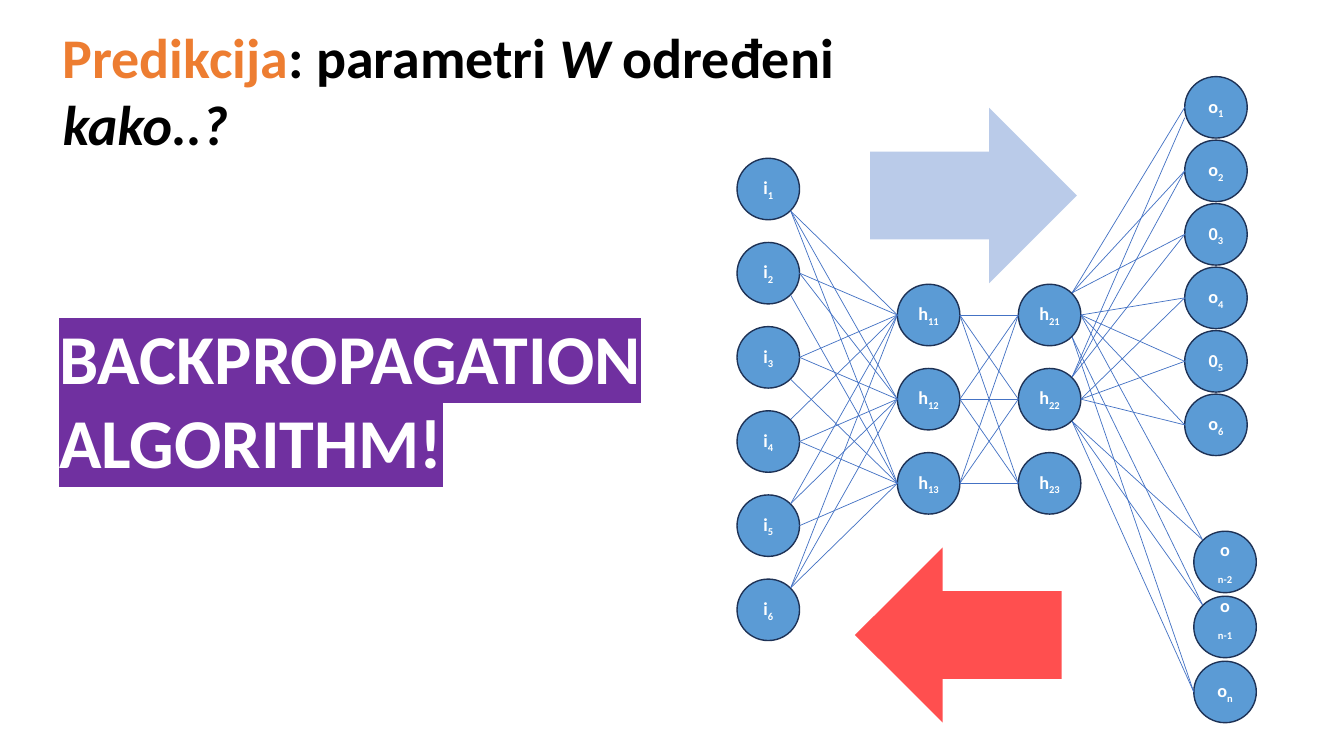
"""Builds the slide on backpropagation with a layered neural network diagram."""
from lxml.etree import SubElement
from pptx import Presentation
from pptx.dml.color import RGBColor
from pptx.enum.shapes import MSO_CONNECTOR, MSO_SHAPE
from pptx.enum.text import MSO_ANCHOR, PP_ALIGN
from pptx.oxml.ns import qn
from pptx.util import Inches, Pt

TITLE = [("Predikcija", {"color": "ED7D31"}), (": parametri ", {}), ("W", {"italic": True}),
         (" određeni ", {}), ("kako..?", {"italic": True})]
ANSWER = ["BACKPROPAGATION", "ALGORITHM!"]

NODE_W, NODE_H = 0.62, 0.61
LAYERS = {
    "input": (7.31, 1.57, 0.835, ["i 1", "i 2", "i 3", "i 4", "i 5", "i 6"]),
    "hidden1": (8.9, 2.82, 0.835, ["h 11", "h 12", "h 13"]),
    "hidden2": (10.1, 2.82, 0.835, ["h 21", "h 22", "h 23"]),
    "output": (11.75, 0.76, 0.63, ["o 1", "o 2", "0 3", "o 4", "0 5", "o 6"]),
    "last": (11.84, 5.27, 0.645, ["o n-2", "o n-1", "o n"]),
}
PORTS = {"left": (0, 0.5), "low left": (0, 0.67), "up left": (0.14, 0.14),
         "r": (1, 0.5), "u": (0.86, 0.14), "d": (0.86, 0.86)}
INPUT_EXITS = {"h 11": "drruuu", "h 12": "drrruu", "h 13": "dddrru"}
OUTPUT_EXITS = {"h 21": "uuurrrrdd", "h 22": "uuurrrddd"}
ENTRIES = {"o n-2": "up left", "o n-1": "up left"}
ARROWS = [(MSO_SHAPE.RIGHT_ARROW, 8.63, 1.07, "4472C4", 37),
          (MSO_SHAPE.LEFT_ARROW, 8.48, 5.43, "FF0000", 69)]


def rgb(value):
    return RGBColor.from_string(value)


def write(paragraph, text, size=13, color="FFFFFF", italic=False, baseline=None, highlight=None):
    run = paragraph.add_run()
    run.text = text
    run.font.name, run.font.size = "Calibri", Pt(size)
    run.font.bold, run.font.italic = True, italic
    run.font.color.rgb = rgb(color)
    properties = run.font._element
    if baseline:
        properties.set("baseline", str(baseline * 1000))
    if highlight:
        mark = SubElement(properties, qn("a:highlight"))
        SubElement(mark, qn("a:srgbClr"), val=highlight)
        properties.find(qn("a:solidFill")).addnext(mark)


def add_node(slide, label, left, top):
    node = slide.shapes.add_shape(MSO_SHAPE.OVAL, Inches(left), Inches(top),
                                  Inches(NODE_W), Inches(NODE_H))
    node.shadow.inherit = False
    node.fill.solid()
    node.fill.fore_color.rgb = rgb("5B9BD5")
    node.line.color.rgb = rgb("1E3256")
    node.line.width = Pt(1)
    frame = node.text_frame
    frame.word_wrap = True
    frame.vertical_anchor = MSO_ANCHOR.MIDDLE
    frame.margin_left = frame.margin_right = frame.margin_top = 0
    frame.margin_bottom = Inches(0.18 if label == "o n-1" else 0)
    paragraph = frame.paragraphs[0]
    paragraph.alignment = PP_ALIGN.CENTER
    name, index = label.split()
    write(paragraph, name)
    if "-" in index:
        paragraph.add_line_break()
    write(paragraph, index, baseline=-25)


def add_edge(slide, start, start_port, end, end_port):
    ends = []
    for (left, top), port in ((start, start_port), (end, end_port)):
        across, down = PORTS[port]
        ends += [Inches(left + across * NODE_W), Inches(top + down * NODE_H)]
    edge = slide.shapes.add_connector(MSO_CONNECTOR.STRAIGHT, *ends)
    edge.line.color.rgb = rgb("4472C4")
    edge.line.width = Pt(0.5)
    SubElement(edge._element.spPr, qn("a:effectLst"))


def add_network(slide):
    places = {label: (left, top + row * step)
              for left, top, step, labels in LAYERS.values()
              for row, label in enumerate(labels)}
    for label, place in places.items():
        add_node(slide, label, *place)
    inputs, hidden1, hidden2, outputs, last = (layer[3] for layer in LAYERS.values())
    edges = [(source, port, target, "left") for target, exits in INPUT_EXITS.items()
             for source, port in zip(inputs, exits)]
    edges += [(source, "r", target, "left") for source in hidden1 for target in hidden2]
    for source, exits in OUTPUT_EXITS.items():
        for target, port in zip(outputs + last, exits):
            entry = ENTRIES.get(target, "left")
            if (source, target) == ("h 22", "o 1"):
                entry = "low left"
            edges.append((source, port, target, entry))
    for source, port, target, entry in edges:
        add_edge(slide, places[source], port, places[target], entry)


def add_arrow(slide, preset, left, top, color, opacity):
    arrow = slide.shapes.add_shape(preset, Inches(left), Inches(top), Inches(2.05), Inches(1.74))
    arrow.shadow.inherit = False
    arrow.fill.solid()
    arrow.fill.fore_color.rgb = rgb(color)
    arrow.line.fill.background()
    tint = arrow._element.spPr.find(qn("a:solidFill")).find(qn("a:srgbClr"))
    SubElement(tint, qn("a:alpha"), val=str(opacity * 1000))


def main():
    deck = Presentation()
    deck.slide_width, deck.slide_height = Inches(13.33), Inches(7.5)
    slide = deck.slides.add_slide(deck.slide_layouts[5])

    title = slide.shapes.title
    title.left, title.top, title.width, title.height = map(Inches, (0.52, 0.17, 9.5, 1.45))
    title.text_frame.word_wrap = True
    title.text_frame.vertical_anchor = MSO_ANCHOR.TOP
    heading = title.text_frame.paragraphs[0]
    heading.alignment = PP_ALIGN.LEFT
    for text, style in TITLE:
        write(heading, text, **{"size": 40, "color": "000000", **style})

    answer = slide.shapes.add_textbox(*map(Inches, (0.49, 3.07, 6.24, 1.78))).text_frame
    answer.word_wrap = True
    for row, text in enumerate(ANSWER):
        paragraph = answer.add_paragraph() if row else answer.paragraphs[0]
        write(paragraph, text, size=50, highlight="7030A0")

    add_network(slide)
    for arrow in ARROWS:
        add_arrow(slide, *arrow)
    deck.save("out.pptx")


if __name__ == "__main__":
    main()
